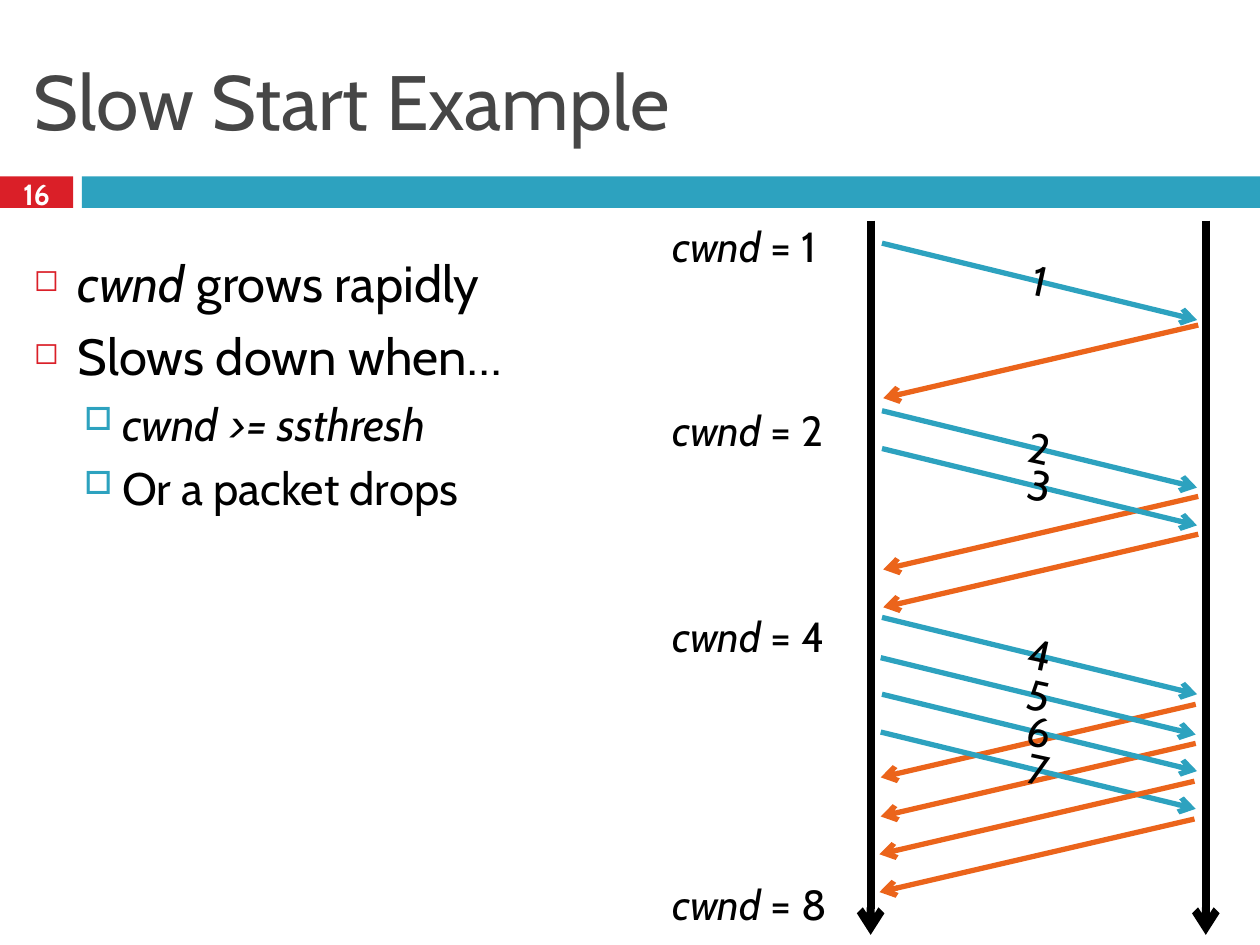
from lxml import etree
from pptx import Presentation, util as u
from pptx.dml.color import RGBColor
from pptx.enum import shapes, text
from pptx.oxml.ns import qn

RED = RGBColor(0xDA, 0x1F, 0x28)
TEAL = RGBColor(0x2D, 0xA2, 0xBF)
ORANGE = RGBColor(0xEB, 0x64, 0x1B)
GREY = RGBColor(0x46, 0x46, 0x46)
BLACK = RGBColor(0, 0, 0)
WHITE = RGBColor(0xFF, 0xFF, 0xFF)
COLUMNS, ROWS = 100, 75


def write(paragraph, runs, size=24, color=BLACK, bold=False,
          align=text.PP_ALIGN.LEFT, before=0):
    """Fill a paragraph; runs are (words, italic) pairs."""
    paragraph.alignment = align
    paragraph.space_before = u.Pt(before)
    for words, italic in runs:
        run = paragraph.add_run()
        run.text = words
        font = run.font
        font.name, font.size = "Cabin", u.Pt(size)
        font.bold, font.italic = bold, italic
        font.color.rgb = color


class Board:
    """The current slide, measured in columns and rows of a grid."""

    def __init__(self, deck):
        self.slide = deck.slides.add_slide(deck.slide_layouts[6])
        self.column = deck.slide_width / COLUMNS
        self.row = deck.slide_height / ROWS

    def place(self, x, y, *rest):
        pair = [round(x * self.column), round(y * self.row)]
        return pair + self.place(*rest) if rest else pair

    def bar(self, x, y, width, height, color):
        bar = self.slide.shapes.add_shape(
            shapes.MSO_SHAPE.RECTANGLE, *self.place(x, y, width, height))
        bar.shadow.inherit = False
        bar.fill.solid()
        bar.fill.fore_color.rgb = color
        bar.line.fill.background()

    def arrow(self, x1, y1, x2, y2, color, width=3):
        arrow = self.slide.shapes.add_connector(
            shapes.MSO_CONNECTOR.STRAIGHT, *self.place(x1, y1, x2, y2))
        arrow.line.color.rgb = color
        arrow.line.width = u.Pt(width)
        etree.SubElement(arrow.line._get_or_add_ln(), qn("a:tailEnd"), type="arrow")
        etree.SubElement(arrow._element.spPr, qn("a:effectLst"))

    def frame(self, x, y, width, height, middle=False, wrap=True, turn=0):
        box = self.slide.shapes.add_textbox(*self.place(x, y, width, height))
        box.rotation = turn
        frame = box.text_frame
        frame.word_wrap = wrap
        frame.vertical_anchor = (text.MSO_ANCHOR.MIDDLE if middle
                                 else text.MSO_ANCHOR.TOP)
        return frame

    def label(self, x, y, width, height, runs, middle=False, wrap=True, turn=0,
              **style):
        frame = self.frame(x, y, width, height, middle, wrap, turn)
        write(frame.paragraphs[0], runs, **style)

    def bullets(self, x, y, width, height, items):
        frame = self.frame(x, y, width, height)
        for number, (level, runs) in enumerate(items):
            item = frame.add_paragraph() if number else frame.paragraphs[0]
            size, before, indent, hang, mark, share, color = BULLETS[level]
            item.level = level
            write(item, runs, size=size, before=before)
            props = item._p.get_or_add_pPr()
            props.set("marL", str(u.Inches(indent)))
            props.set("indent", str(-u.Inches(hang)))
            tint = etree.SubElement(props, qn("a:buClr"))
            etree.SubElement(tint, qn("a:srgbClr"), val=str(color))
            etree.SubElement(props, qn("a:buSzPct"), val=str(share * 1000))
            etree.SubElement(props, qn("a:buChar"), char=mark)


# Per level: size, space before, indent, hang, mark, mark share, mark colour
BULLETS = [(29, 7, 0.35, 0.35, "\u25fb", 60, RED),
           (26, 5.5, 0.7, 0.3, "\u25a1", 70, TEAL)]

deck = Presentation()
deck.slide_width, deck.slide_height = u.Inches(10), u.Inches(7.5)
board = Board(deck)

# Header
board.bar(0, 14, 5.8, 2.5, RED)
board.bar(6.5, 14, 93.5, 2.5, TEAL)
board.label(1.7, 2.5, 96.7, 10.8, [("Slow Start Example", False)],
            middle=True, size=44, color=GREY)
board.label(0, 13.7, 5.8, 3.3, [("16", False)], middle=True, size=16.6,
            color=WHITE, bold=True, align=text.PP_ALIGN.CENTER)

# Acknowledgements travel right to left; the last two lie above the packets
ACKS = [(95.1, 25.8), (95.1, 39.4), (95.1, 42.4), (94.9, 55.9), (94.9, 59),
        (94.8, 62), (94.8, 65)]


def draw_acks(acks):
    for x, y in acks:
        board.arrow(x, y, x - 25, y + 5.8, ORANGE)


draw_acks(ACKS[:5])

# Sender and receiver timelines
for timeline in (69.1, 95.7):
    board.arrow(timeline, 17.5, timeline, 74.2, BLACK, width=4.5)

# Numbered packets travel left to right
PACKETS = [(70, 19.3), (70, 32.6), (70, 35.6), (70, 49), (69.9, 52.2),
           (70, 55.1), (69.9, 58.1)]
for number, (x, y) in enumerate(PACKETS, 1):
    board.arrow(x, y, x + 25, y + 6.1, TEAL)
    board.label(x + 7, y + 0.4, 11.1, 5, [(str(number), False)], turn=12.3,
                align=text.PP_ALIGN.CENTER)

draw_acks(ACKS[5:])

# Congestion window at each round
for doubling, y in enumerate((17, 31.6, 48, 69.2)):
    board.label(52.4, y, 15.6, 5,
                [("cwnd", True), (f" = {2 ** doubling}", False)], wrap=False)

# Explanation
board.bullets(1.7, 19.5, 46.2, 53.8, [
    (0, [("cwnd", True), (" grows rapidly", False)]),
    (0, [("Slows down when\u2026", False)]),
    (1, [("cwnd >= ssthresh", True)]),
    (1, [("Or a packet drops", False)]),
])

deck.save("out.pptx")
